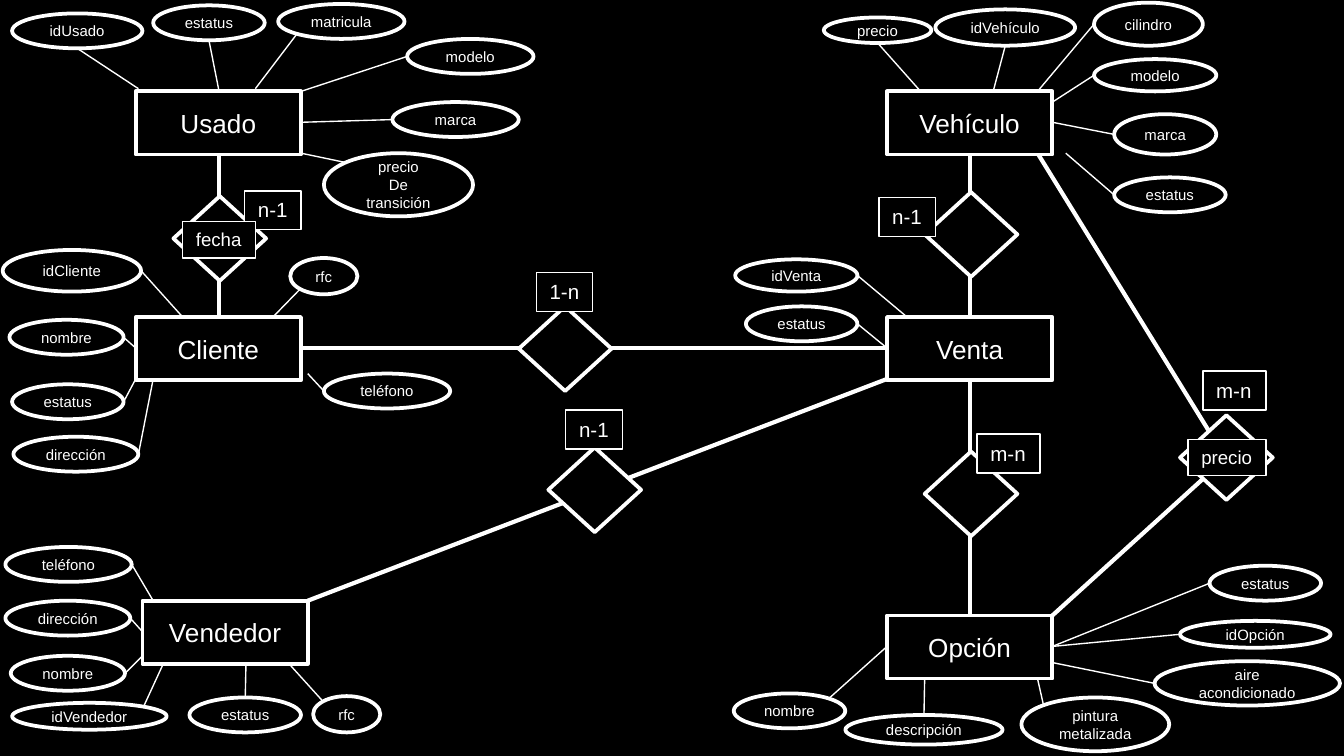
from lxml import etree
from pptx import Presentation
from pptx.dml.color import RGBColor
from pptx.enum.shapes import MSO_CONNECTOR, MSO_SHAPE
from pptx.enum.text import MSO_ANCHOR, MSO_AUTO_SIZE, PP_ALIGN
from pptx.oxml.ns import qn
from pptx.util import Inches, Pt

BLACK = RGBColor(0x00, 0x00, 0x00)
WHITE = RGBColor(0xFF, 0xFF, 0xFF)
FONT = "Arial"
RECT, OVAL, DIAMOND = MSO_SHAPE.RECTANGLE, MSO_SHAPE.OVAL, MSO_SHAPE.DIAMOND
STRAIGHT = MSO_CONNECTOR.STRAIGHT
MIDDLE, TOP = MSO_ANCHOR.MIDDLE, MSO_ANCHOR.TOP
CENTER, LEFT = PP_ALIGN.CENTER, PP_ALIGN.LEFT
FIT_SHAPE = MSO_AUTO_SIZE.SHAPE_TO_FIT_TEXT

SLIDE_W = 10
SLIDE_H = SLIDE_W * 9 / 16
ENTITY_W, ENTITY_H = 1.23, 0.47
DIAMOND_W, DIAMOND_H = 0.69, 0.63
THIN, OUTLINE, THICK = 0.75, 2, 2.25

# Points on an ellipse, as fractions of its width and height
SITES = {
    "L": (0, 0.5), "R": (1, 0.5), "T": (0.5, 0), "B": (0.5, 1),
    "TL": (0.15, 0.15), "TR": (0.85, 0.15), "BL": (0.15, 0.85),
}

# Entity: name, left, top, attributes.
# Attribute: text, box relative to the entity, site where its line starts,
# and end of the line relative to the entity.
ENTITIES = [
    ("Usado", 1.01, 0.68, [
        ("idUsado", (-0.92, -0.58, 0.97, 0.26), "B", (0.02, -0.02)),
        ("estatus", (0.13, -0.64, 0.83, 0.26), "B", (0.62, 0)),
        ("matricula", (1.06, -0.65, 0.94, 0.26), "BL", (0.89, -0.02)),
        ("modelo", (2.02, -0.39, 0.94, 0.26), "L", (1.23, 0)),
        ("marca", (1.91, 0.08, 0.94, 0.26), "L", (1.23, 0.23)),
        ("precio\nDe\ntransición", (1.4, 0.46, 1.11, 0.47), "TL", (1.23, 0.46)),
    ]),
    ("Vehículo", 6.6, 0.68, [
        ("precio", (-0.47, -0.55, 0.8, 0.19), "B", (0.25, 0)),
        ("idVehículo", (0.36, -0.61, 1.04, 0.27), "B", (0.79, 0)),
        ("cilindro", (1.54, -0.66, 0.81, 0.32), "L", (1.12, 0)),
        ("modelo", (1.54, -0.24, 0.91, 0.24), "L", (1.23, 0.08)),
        ("marca", (1.69, 0.17, 0.76, 0.3), "L", (1.23, 0.23)),
        ("estatus", (1.69, 0.64, 0.83, 0.26), "L", (1.33, 0.46)),
    ]),
    ("Cliente", 1.01, 2.36, [
        ("idCliente", (-0.99, -0.5, 1.03, 0.31), "R", (0.35, 0)),
        ("rfc", (1.15, -0.44, 0.5, 0.27), "BL", (1.02, 0)),
        ("nombre", (-0.94, 0.02, 0.85, 0.26), "R", (0, 0.23)),
        ("estatus", (-0.92, 0.5, 0.83, 0.26), "R", (0, 0.46)),
        ("teléfono", (1.4, 0.42, 0.94, 0.26), "L", (1.28, 0.42)),
        ("dirección", (-0.91, 0.89, 0.93, 0.26), "R", (0.13, 0.46)),
    ]),
    ("Venta", 6.6, 2.36, [
        ("idVenta", (-1.13, -0.43, 0.91, 0.24), "R", (0.15, 0)),
        ("estatus", (-1.05, -0.08, 0.83, 0.26), "R", (0, 0.23)),
    ]),
    ("Vendedor", 1.06, 4.47, [
        ("teléfono", (-1.02, -0.4, 0.94, 0.26), "R", (0.08, 0)),
        ("dirección", (-1.02, 0, 0.93, 0.26), "R", (0, 0.23)),
        ("nombre", (-0.98, 0.41, 0.85, 0.26), "R", (0, 0.41)),
        ("idVendedor", (-0.97, 0.76, 1.15, 0.2), "TR", (0.15, 0.48)),
        ("estatus", (0.35, 0.72, 0.83, 0.26), "T", (0.77, 0.48)),
        ("rfc", (1.27, 0.71, 0.5, 0.27), "TL", (1.1, 0.48)),
    ]),
    ("Opción", 6.6, 4.58, [
        ("estatus", (2.4, -0.37, 0.83, 0.26), "L", (1.23, 0.23)),
        ("idOpción", (2.18, 0.04, 1.12, 0.2), "L", (1.23, 0.23)),
        ("aire\nacondicionado", (1.99, 0.34, 1.38, 0.33), "L", (1.23, 0.35)),
        ("pintura\nmetalizada", (1, 0.61, 1.1, 0.4), "TL", (1.12, 0.47)),
        ("descripción", (-0.31, 0.74, 1.17, 0.22), "T", (0.28, 0.47)),
        ("nombre", (-1.14, 0.58, 0.83, 0.26), "TR", (0, 0.23)),
    ]),
]

# Relationship: route of its line, left and top of the diamond, and tags
# as (text, box relative to the diamond, text size).
RELATIONSHIPS = [
    ([(1.63, 1.14), (1.63, 2.36)], 1.29, 1.46,
     [("n-1", (0.53, -0.04, 0.42, 0.29), 11), ("fecha", (0.07, 0.19, 0.54, 0.27), 10)]),
    ([(2.24, 2.59), (6.6, 2.59)], 3.86, 2.28,
     [("1-n", (0.13, -0.25, 0.42, 0.29), 11)]),
    ([(7.22, 2.36), (7.22, 1.14)], 6.88, 1.43,
     [("n-1", (-0.34, 0.04, 0.42, 0.29), 11)]),
    ([(2.29, 4.47), (6.6, 2.82)], 4.08, 3.33,
     [("n-1", (0.13, -0.28, 0.42, 0.29), 11)]),
    ([(7.22, 4.58), (7.22, 2.82)], 6.88, 3.36,
     [("m-n", (0.39, -0.13, 0.47, 0.29), 11)]),
    ([(7.72, 1.14), (9.12, 3.41), (7.83, 4.58)], 8.78, 3.09,
     [("m-n", (0.17, -0.33, 0.47, 0.29), 11), ("precio", (0.06, 0.18, 0.58, 0.27), 10)]),
]


def add_box(s, kind, x, y, w, h, width=OUTLINE):
    sp = s.shapes.add_shape(kind, Inches(x), Inches(y), Inches(w), Inches(h))
    sp.shadow.inherit = False
    sp.fill.solid()
    sp.fill.fore_color.rgb = BLACK
    sp.line.color.rgb = WHITE
    sp.line.width = Pt(width)
    return sp


def set_text(sp, text, size, align=CENTER, anchor=MIDDLE):
    tf = sp.text_frame
    tf.word_wrap = False
    tf.vertical_anchor = anchor
    tf.text = text
    for p in tf.paragraphs:
        p.alignment = align
        p.font.size = Pt(size)
        p.font.name = FONT
        p.font.color.rgb = WHITE


def add_line(s, start, end, width=THIN):
    line = s.shapes.add_connector(STRAIGHT, *(Inches(v) for v in (*start, *end)))
    line.line.color.rgb = WHITE
    line.line.width = Pt(width)
    etree.SubElement(line._element.spPr, qn("a:effectLst"))


def add_attribute(s, x, y, w, h, text, site, end):
    fx, fy = SITES[site]
    add_line(s, (x + fx * w, y + fy * h), end)
    set_text(add_box(s, OVAL, x, y, w, h), text, 8)


def add_entity(s, x, y, name, attributes):
    set_text(add_box(s, RECT, x, y, ENTITY_W, ENTITY_H), name, 14)
    for text, (dx, dy, w, h), site, (ex, ey) in attributes:
        add_attribute(s, x + dx, y + dy, w, h, text, site, (x + ex, y + ey))


def add_relationship(s, x, y, route, tags):
    for start, end in zip(route, route[1:]):
        add_line(s, start, end, THICK)
    add_box(s, DIAMOND, x, y, DIAMOND_W, DIAMOND_H)
    for text, (dx, dy, w, h), size in tags:
        sp = add_box(s, RECT, x + dx, y + dy, w, h, THIN)
        set_text(sp, text, size, LEFT, TOP)
        sp.text_frame.auto_size = FIT_SHAPE


def main():
    prs = Presentation()
    prs.slide_width, prs.slide_height = Inches(SLIDE_W), Inches(SLIDE_H)
    s = prs.slides.add_slide(prs.slide_layouts[6])
    s.background.fill.solid()
    s.background.fill.fore_color.rgb = BLACK

    # Relationships between entities
    for route, x, y, tags in RELATIONSHIPS:
        add_relationship(s, x, y, route, tags)

    # Entities with their attributes
    for name, x, y, attributes in ENTITIES:
        add_entity(s, x, y, name, attributes)

    prs.save("out.pptx")


if __name__ == "__main__":
    main()
